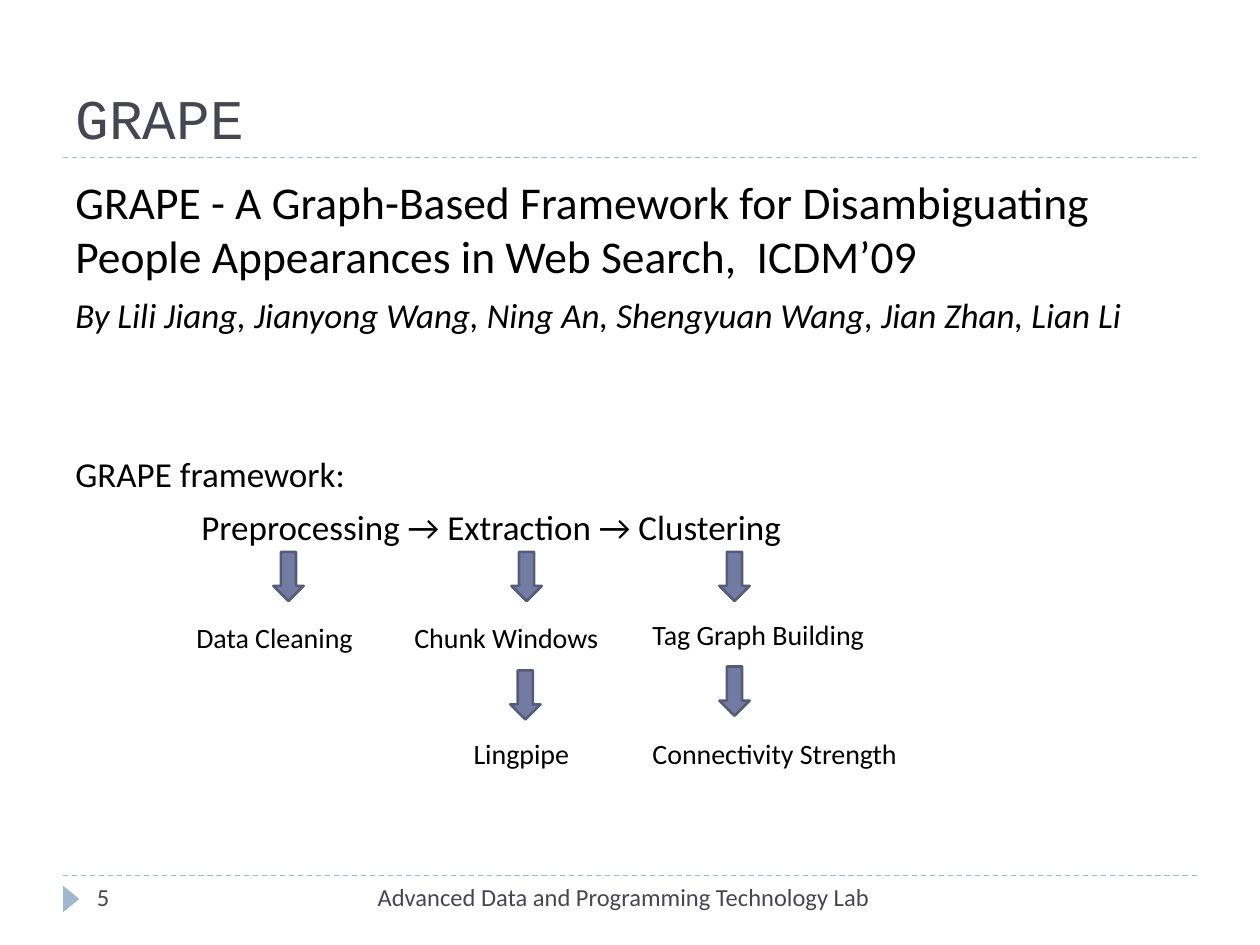
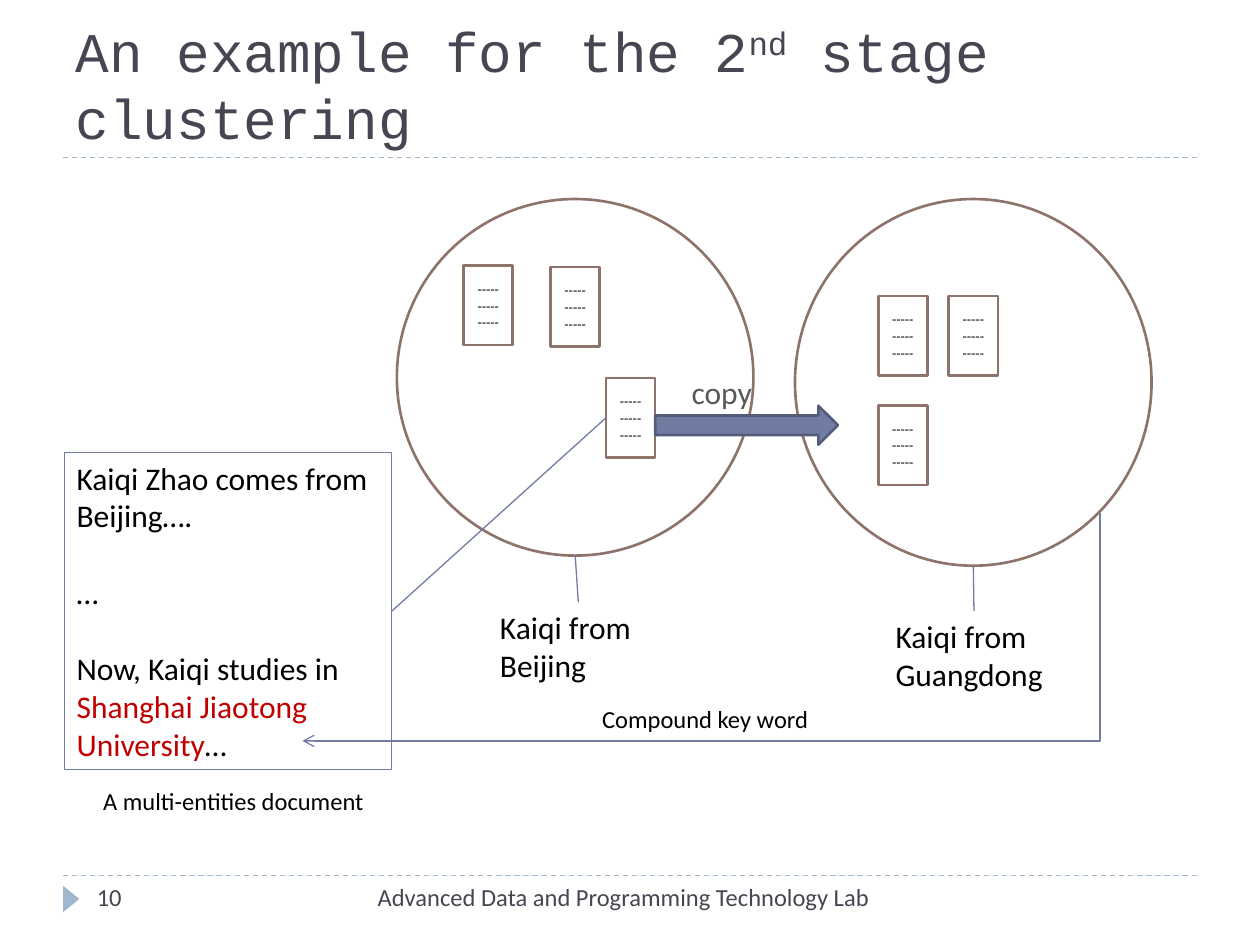
from lxml.etree import SubElement
from pptx import Presentation
from pptx.dml.color import RGBColor
from pptx.enum.dml import MSO_LINE
from pptx.enum.shapes import MSO_CONNECTOR as LINE, MSO_SHAPE as SHAPE
from pptx.enum.text import MSO_ANCHOR, MSO_AUTO_SIZE, PP_ALIGN
from pptx.oxml.ns import qn
from pptx.util import Inches, Pt

hex_color = RGBColor.from_string
BLACK, WHITE, INK, GRAY, RED = "000000", "FFFFFF", "464653", "595959", "C00000"
SKY, INDIGO, DARK_INDIGO, BROWN = "9FB8CD", "727CA3", "545C79", "8E736A"


def paint(item, line=None, width=0.75, fill=None):
    """Set outline and fill of a shape or connector, without a shadow."""
    if line:
        item.line.color.rgb = hex_color(line)
        item.line.width = Pt(width)
    else:
        item.line.fill.background()
    if hasattr(item, "fill"):
        item.shadow.inherit = False
        if fill:
            item.fill.solid()
            item.fill.fore_color.rgb = hex_color(fill)
        else:
            item.fill.background()
    else:
        SubElement(item._element.spPr, qn("a:effectLst"))
    return item


def write(box, paragraphs, size, color=BLACK, name="Calibri", align=PP_ALIGN.LEFT):
    """Fill a box; a paragraph is a list of (text, font changes) spans."""
    frame = box.text_frame
    frame.word_wrap = True
    frame.auto_size = MSO_AUTO_SIZE.NONE
    for index, spans in enumerate(paragraphs):
        para = frame.add_paragraph() if index else frame.paragraphs[0]
        para.alignment = align
        for text, changes in spans:
            span = para.add_run()
            span.text = text
            look = {"size": size, "color": color, "name": name} | changes
            span.font.color.rgb = hex_color(look.pop("color"))
            look["size"] = Pt(look["size"])
            for attribute, value in look.items():
                setattr(span.font, attribute, value)
    return box


deck = Presentation()
deck.slide_width, deck.slide_height = Inches(10), Inches(7.5)

# Title, rules and footer of every slide
titles = [
    ("5", [("GRAPE", {})]),
    ("10", [("An example for the 2", {}), ("nd", {}), (" stage clustering", {})]),
]
slides = []
for number, title_spans in titles:
    slide = deck.slides.add_slide(deck.slide_layouts[5])
    slides.append(slide)
    shapes = slide.shapes
    for y in (6.95, 1.25):
        rule = shapes.add_connector(LINE.STRAIGHT, Inches(0.5), Inches(y), Inches(9.5), Inches(y))
        paint(rule, SKY).line.dash_style = MSO_LINE.DASH
    marker = shapes.add_shape(SHAPE.ISOSCELES_TRIANGLE, *map(Inches, (0.46, 7.07, 0.21, 0.13)))
    paint(marker, fill=SKY).rotation = 90

    title = shapes.title
    title.left, title.top, title.width, title.height = map(Inches, (0.5, 0.17, 9, 1.08))
    write(title, [title_spans], 32, INK, "Courier New")
    title.text_frame.vertical_anchor = MSO_ANCHOR.BOTTOM

    footer = shapes.add_textbox(*map(Inches, (2.87, 6.95, 4.13, 0.4)))
    write(footer, [[("Advanced Data and Programming Technology Lab", {})]], 14, INK,
          align=PP_ALIGN.RIGHT)
    page_number = shapes.add_textbox(*map(Inches, (0.67, 6.95, 2.17, 0.4)))
    write(page_number, [[(number, {})]], 14, INK)

framework, example = slides
ordinal = example.shapes.title.text_frame.paragraphs[0].runs[1]
ordinal.font._element.set("baseline", "30000")

# Slide 1: the GRAPE framework
body = framework.shapes.add_textbox(*map(Inches, (0.5, 1.33, 9, 5.4)))
write(body, [
    [("GRAPE - A Graph-Based Framework for Disambiguating People Appearances in Web Search,"
      "  ICDM’09", {"size": 26})],
    [("By Lili Jiang, Jianyong Wang, Ning An, Shengyuan Wang, Jian Zhan, Lian Li",
      {"italic": True})],
    [("GRAPE framework:", {})],
    [("Preprocessing → Extraction → Clustering", {})],
], 20)
paras = body.text_frame.paragraphs
for para, gap in zip(paras[1:], (6, 67, 6)):
    para.space_before = Pt(gap)
paras[3]._p.get_or_add_pPr().set("marL", str(Inches(1)))

for x, y in [(2.17, 4.38), (4.06, 4.38), (5.71, 4.38), (4.05, 5.32), (5.71, 5.29)]:
    arrow = framework.shapes.add_shape(SHAPE.DOWN_ARROW, *map(Inches, (x, y, 0.24, 0.39)))
    paint(arrow, DARK_INDIGO, 1.5, INDIGO)

steps = [
    ("Data Cleaning", 1.46, 4.88, 1.57),
    ("Chunk Windows", 3.19, 4.88, 1.81),
    ("Lingpipe", 3.66, 5.8, 1.02),
    ("Tag Graph Building", 5.08, 4.85, 2.13),
    ("Connectivity Strength", 5.08, 5.8, 2.52),
]
for text, x, y, width in steps:
    step = framework.shapes.add_textbox(*map(Inches, (x, y, width, 0.37)))
    write(step, [[(text, {})]], 16)

# Slide 2: two clusters and the document that belongs to both
shapes = example.shapes
clusters = [
    ("Kaiqi from Guangdong", (6.31, 1.58, 2.83, 2.91), (7.01, 4.85),
     [(6.97, 2.35), (6.97, 3.22), (7.53, 2.35)]),
    ("Kaiqi from Beijing", (3.15, 1.58, 2.83, 2.83), (3.87, 4.78),
     [(3.68, 2.11), (4.37, 2.12), (4.81, 3)]),
]
for text, circle_at, label_at, page_places in clusters:
    circle = shapes.add_shape(SHAPE.OVAL, *map(Inches, circle_at))
    paint(circle, BROWN, 1.5, WHITE)
    for x, y in page_places:
        page = shapes.add_shape(SHAPE.RECTANGLE, *map(Inches, (x, y, 0.39, 0.63)))
        paint(page, BROWN, 1.5, WHITE)
        write(page, [[("---------------", {})]], 8, align=PP_ALIGN.CENTER)
        page.text_frame.vertical_anchor = MSO_ANCHOR.MIDDLE
    label = shapes.add_textbox(*map(Inches, (*label_at, 1.44, 0.71)))
    write(label, [[(text, {})]], 18)
    stem = shapes.add_connector(LINE.STRAIGHT, circle.left + circle.width // 2,
                                circle.top + circle.height, label.left, label.top)
    stem.end_connect(label, 0)
    paint(stem, INDIGO)
shared_page = page

document = shapes.add_shape(SHAPE.RECTANGLE, *map(Inches, (0.51, 3.59, 2.6, 2.52)))
paint(document, INDIGO)
write(document, [
    [("Kaiqi Zhao comes from Beijing….", {})],
    [("…", {})],
    [("Now, Kaiqi studies in ", {}), ("Shanghai Jiaotong University", {"color": RED}), ("…", {})],
], 18)
document.text_frame.vertical_anchor = MSO_ANCHOR.TOP
for para in document.text_frame.paragraphs[1:]:
    para.space_before = Pt(22)

# Elbow from the Guangdong circle down and left to the red key word
elbow = shapes.add_connector(LINE.ELBOW, *map(Inches, (4.66, 1.81, 6.47, 8.14)))
properties = elbow._element.spPr
properties.find(qn("a:xfrm")).set("rot", "5400000")
properties.find(qn("a:prstGeom")).set("prst", "bentConnector2")
paint(elbow, INDIGO)
SubElement(properties.find(qn("a:ln")), qn("a:tailEnd"), type="arrow")

copy_arrow = shapes.add_shape(SHAPE.RIGHT_ARROW, *map(Inches, (5.2, 3.22, 1.45, 0.31)))
paint(copy_arrow, DARK_INDIGO, 1.5, INDIGO)

captions = [
    ("A multi-entities document", (0.72, 6.19, 2.29, 0.34), 14, BLACK),
    ("Compound key word", (4.68, 5.54, 1.97, 0.34), 14, BLACK),
    ("copy", (5.39, 2.91, 0.71, 0.4), 18, GRAY),
]
for text, at, size, color in captions:
    caption = shapes.add_textbox(*map(Inches, at))
    write(caption, [[(text, {})]], size, color)

pointer = shapes.add_connector(LINE.STRAIGHT, 0, 0, 0, 0)
pointer.begin_connect(shared_page, 1)
pointer.end_connect(document, 3)
paint(pointer, INDIGO)

deck.save("out.pptx")
